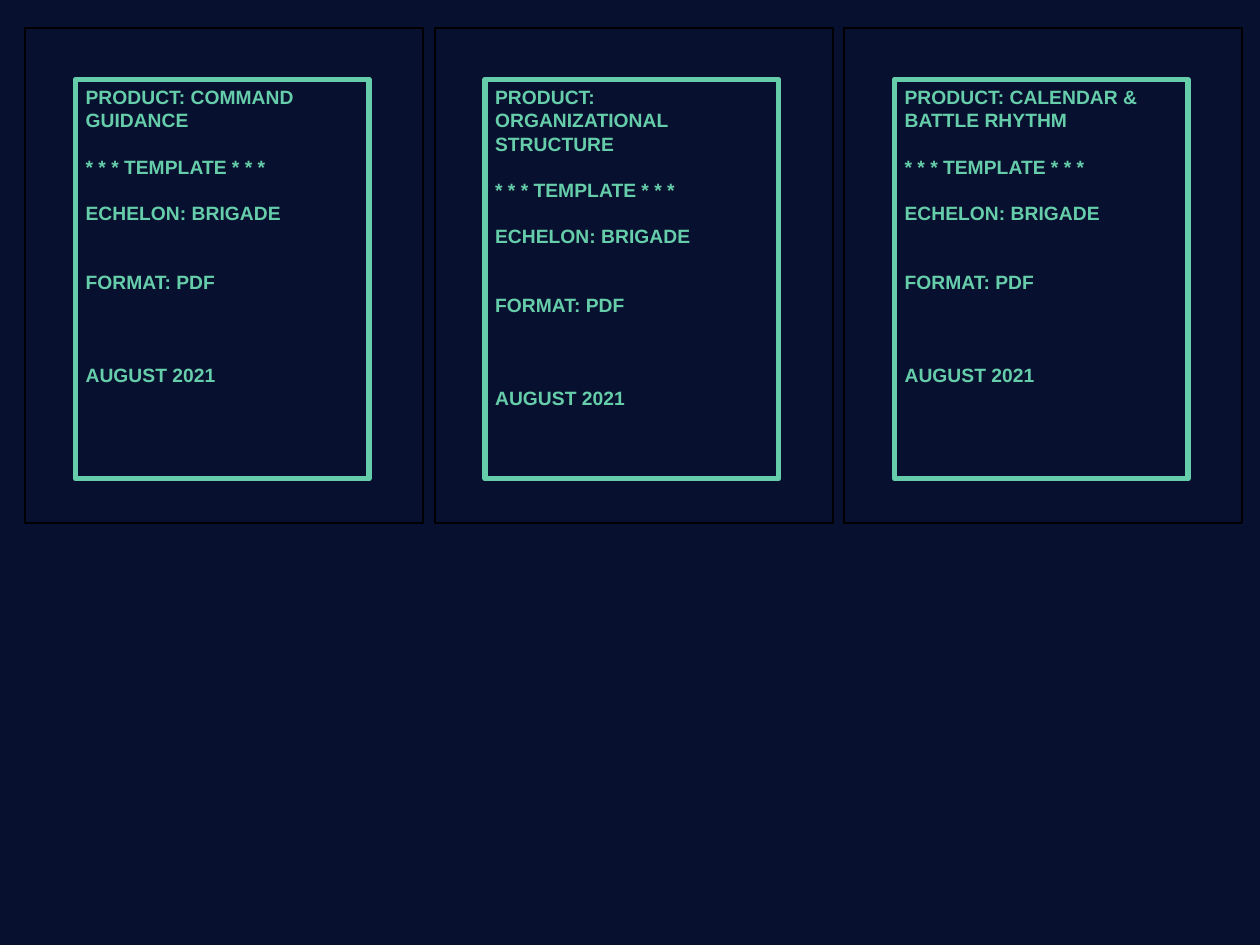
from pptx import Presentation
from pptx.dml.color import RGBColor
from pptx.enum.shapes import MSO_SHAPE
from pptx.enum.text import MSO_ANCHOR, PP_ALIGN
from pptx.util import Inches, Pt

COLORS = {"background": "07112F", "accent": "66CDAA", "border": "000000"}
PRODUCTS = ["COMMAND GUIDANCE", "ORGANIZATIONAL STRUCTURE", "CALENDAR & BATTLE RHYTHM"]
DETAILS = [
    ("* * * TEMPLATE * * *", 1),
    ("ECHELON: BRIGADE", 1),
    ("FORMAT: PDF", 2),
    ("AUGUST 2021", 3),
]
LINE_HEIGHT = 13.2
FIRST_LEFT = 0.2
CARD_PITCH = 3.25


def color(name):
    return RGBColor.from_string(COLORS[name])


def apply_format(target, values):
    for name, value in values.items():
        setattr(target, name, value)


def add_outline(group, left, top, width, height, line_color, line_width):
    box = group.shapes.add_shape(
        MSO_SHAPE.RECTANGLE, Inches(left), Inches(top), Inches(width), Inches(height)
    )
    box.shadow.inherit = False
    box.fill.background()
    box.line.color.rgb = color(line_color)
    box.line.width = Pt(line_width)
    return box


def write_lines(box, lines):
    frame = box.text_frame
    apply_format(frame, {
        "word_wrap": True,
        "vertical_anchor": MSO_ANCHOR.TOP,
        "margin_left": Inches(0.08),
        "margin_right": Inches(0.08),
        "margin_top": Inches(0.05),
        "margin_bottom": Inches(0.05),
    })
    for index, (text, lines_before) in enumerate(lines):
        para = frame.add_paragraph() if index else frame.paragraphs[0]
        apply_format(para, {
            "alignment": PP_ALIGN.LEFT,
            "line_spacing": Pt(LINE_HEIGHT),
            "space_before": Pt(LINE_HEIGHT * lines_before),
        })
        span = para.add_run()
        span.text = text
        apply_format(span.font, {"name": "Arial", "size": Pt(11), "bold": True})
        span.font.color.rgb = color("accent")


def add_card(page, left, product):
    group = page.shapes.add_group_shape()
    label = add_outline(group, left + 0.4, 0.63, 2.33, 3.17, "accent", 3)
    write_lines(label, [(f"PRODUCT: {product}", 0), *DETAILS])
    add_outline(group, left, 0.22, 3.16, 3.93, "border", 1)


def main():
    deck = Presentation()
    apply_format(deck, {"slide_width": Inches(10), "slide_height": Inches(7.5)})
    page = deck.slides.add_slide(deck.slide_layouts[6])
    page.background.fill.solid()
    page.background.fill.fore_color.rgb = color("background")
    for index, product in enumerate(PRODUCTS):
        add_card(page, FIRST_LEFT + index * CARD_PITCH, product)
    deck.save("out.pptx")


main()
